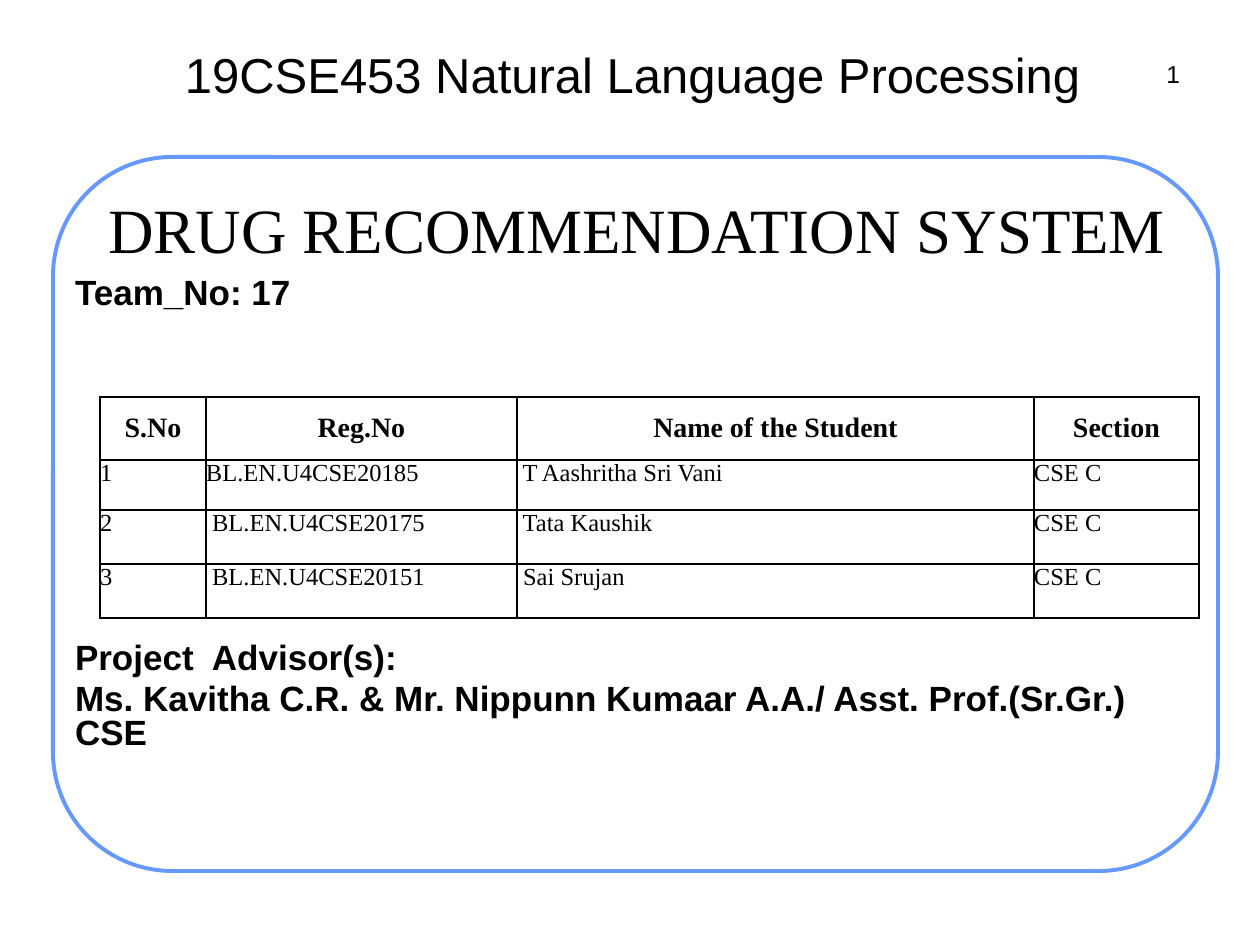
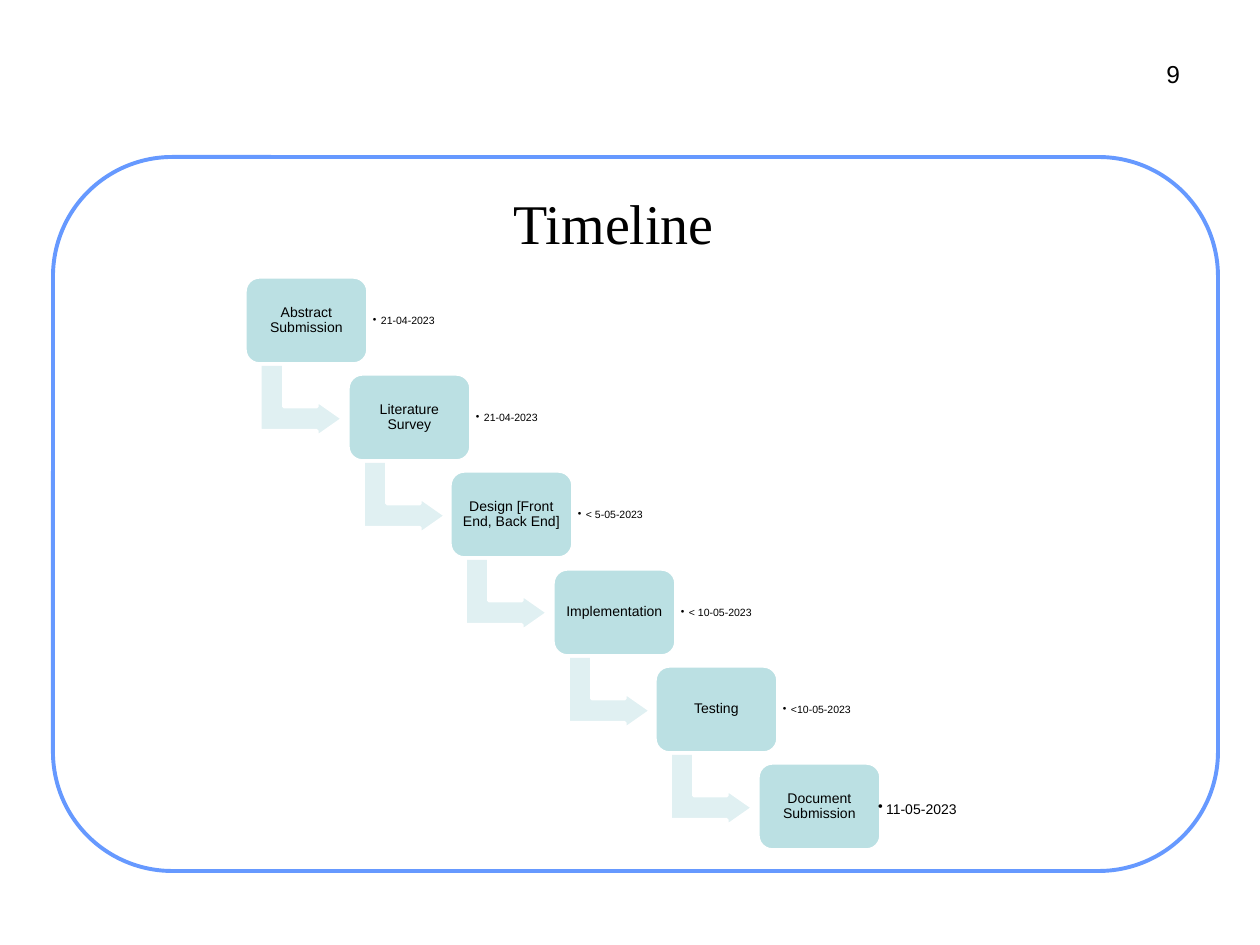
from lxml import etree
from pptx import Presentation
from pptx.dml.color import RGBColor
from pptx.enum.shapes import MSO_SHAPE
from pptx.enum.text import MSO_ANCHOR, PP_ALIGN
from pptx.oxml.ns import qn
from pptx.util import Emu, Pt

ROUND, BENT = MSO_SHAPE.ROUNDED_RECTANGLE, MSO_SHAPE.BENT_UP_ARROW
TOP, MIDDLE = MSO_ANCHOR.TOP, MSO_ANCHOR.MIDDLE
LEFT, CENTER, RIGHT = PP_ALIGN.LEFT, PP_ALIGN.CENTER, PP_ALIGN.RIGHT

BLACK = RGBColor(0x00, 0x00, 0x00)
WHITE = RGBColor(0xFF, 0xFF, 0xFF)
FRAME_BLUE = RGBColor(0x66, 0x99, 0xFF)
STEP_TEAL = RGBColor(0xBB, 0xE0, 0xE3)
ARROW_TEAL = RGBColor(0xE0, 0xF0, 0xF2)
SANS, SERIF = "Arial", "Times New Roman"

COURSE = "19CSE453 Natural Language Processing"
TEAM = ["Team_No: 17"]
ADVISORS = [
    "Project  Advisor(s):",
    "Ms. Kavitha C.R. & Mr. Nippunn Kumaar A.A./ Asst. Prof.(Sr.Gr.)  CSE",
]
STUDENTS = [
    ("S.No", "Reg.No", "Name of the Student", "Section"),
    ("1", "BL.EN.U4CSE20185", " T Aashritha Sri Vani", "CSE C"),
    ("2", " BL.EN.U4CSE20175", " Tata Kaushik", "CSE C"),
    ("3", " BL.EN.U4CSE20151", " Sai Srujan", "CSE C"),
]
COL_WIDTHS = [106, 311, 517, 165]
ROW_HEIGHTS = [63, 50, 54, 54]
STEPS = [
    ("Abstract Submission", "21-04-2023"),
    ("Literature Survey", "21-04-2023"),
    ("Design [Front End, Back End]", "< 5-05-2023"),
    ("Implementation", "< 10-05-2023"),
    ("Testing", "<10-05-2023"),
    ("Document Submission", "11-05-2023"),
]
STAIR_X, STAIR_Y, STAIR_W, STAIR_H = 245, 277, 513, 486


def px(n):
    return Emu(round(n * 914400 / 126))


def write(tf, lines, size, font=SANS, bold=False, align=LEFT, anchor=TOP,
          spacing=1.0, before=0, bullet=False):
    tf.vertical_anchor = anchor
    for i, line in enumerate(lines):
        p = tf.paragraphs[0] if i == 0 else tf.add_paragraph()
        p.alignment, p.line_spacing, p.space_before = align, spacing, Pt(before)
        if bullet:
            pPr = p._p.get_or_add_pPr()
            pPr.set("marL", str(px(8)))
            pPr.set("indent", str(-px(8)))
            etree.SubElement(pPr, qn("a:buChar")).set("char", "•")
        r = p.add_run()
        r.text = line
        r.font.name, r.font.size, r.font.bold = font, Pt(size), bold
        r.font.color.rgb = BLACK


def set_insets(tf, inset):
    tf.margin_left = tf.margin_right = tf.margin_top = tf.margin_bottom = px(inset)


def add_text(s, box, lines, size, inset=6, wrap=True, **fmt):
    tf = s.shapes.add_textbox(*map(px, box)).text_frame
    tf.word_wrap = wrap
    set_insets(tf, inset)
    write(tf, lines, size, **fmt)


def add_shape(s, kind, box, fill, line, width, adj):
    sp = s.shapes.add_shape(kind, *map(px, box))
    sp.shadow.inherit = False
    sp.fill.solid()
    sp.fill.fore_color.rgb = fill
    sp.line.color.rgb = line
    sp.line.width = Pt(width)
    for i, value in enumerate(adj):
        sp.adjustments[i] = value
    return sp


def add_slide(prs, number, title, title_box, title_size):
    s = prs.slides.add_slide(prs.slide_layouts[6])
    add_shape(s, ROUND, (53, 157, 1165, 714), WHITE, FRAME_BLUE, 2.25, [0.167])
    add_text(s, (1145, 53, 41, 40), [number], 14, align=RIGHT)
    add_text(s, title_box, [title], title_size, font=SERIF, align=CENTER, anchor=MIDDLE)
    return s


def set_borders(cell):
    tcPr = cell._tc.get_or_add_tcPr()
    for i, side in enumerate(("lnL", "lnR", "lnT", "lnB")):
        ln = etree.Element(qn("a:" + side), w=str(Pt(1)))
        fill = etree.SubElement(ln, qn("a:solidFill"))
        etree.SubElement(fill, qn("a:srgbClr")).set("val", str(BLACK))
        tcPr.insert(i, ln)


def add_students(s):
    box = (100, 397, sum(COL_WIDTHS), sum(ROW_HEIGHTS))
    table = s.shapes.add_table(len(STUDENTS), len(COL_WIDTHS), *map(px, box)).table
    table.horz_banding = False
    for col, width in zip(table.columns, COL_WIDTHS):
        col.width = px(width)
    for row, height, values in zip(table.rows, ROW_HEIGHTS, STUDENTS):
        row.height = px(height)
        header = values is STUDENTS[0]
        for cell, value in zip(row.cells, values):
            set_insets(cell, 0)
            cell.fill.background()
            set_borders(cell)
            cell.vertical_anchor = MIDDLE if header else TOP
            write(cell.text_frame, [value], 16 if header else 14, font=SERIF, bold=header,
                  align=CENTER if header else LEFT, anchor=None)


def add_timeline(s):
    last = len(STEPS) - 1
    for i, (step, date) in enumerate(STEPS):
        x = STAIR_X + round(STAIR_W * i / last)
        y = STAIR_Y + round(STAIR_H * i / last)
        if i < last:
            arrow = add_shape(s, BENT, (x + 20, y + 82, 73, 83), ARROW_TEAL, WHITE, 2,
                              [0.328, 0.25, 0.358])
            arrow.rotation = 90
            date_box, date_size = (x + 124, y + 8, 89, 71), 6
        else:
            date_box, date_size = (x + 116, y + 10, 244, 71), 8
        sp = add_shape(s, ROUND, (x, y, 123, 87), STEP_TEAL, WHITE, 2, [0.167])
        set_insets(sp.text_frame, 4)
        write(sp.text_frame, [step], 8, align=CENTER, anchor=MIDDLE, spacing=0.9)
        add_text(s, date_box, [date], date_size, inset=4, anchor=MIDDLE, bullet=True)


def main():
    prs = Presentation()
    prs.slide_width, prs.slide_height = px(1260), px(945)

    s = add_slide(prs, "1", "DRUG RECOMMENDATION SYSTEM", (86, 165, 1102, 126), 36)
    add_text(s, (179, 42, 945, 63), [COURSE], 28, anchor=MIDDLE)
    for top, lines in ((273, TEAM), (638, ADVISORS)):
        add_text(s, (69, top, 1104, 120), lines, 20, bold=True, spacing=0.8, before=4)
    add_students(s)

    s = add_slide(prs, "9", "Timeline", (47, 171, 1134, 102), 32)
    add_timeline(s)

    prs.save("out.pptx")


if __name__ == "__main__":
    main()
